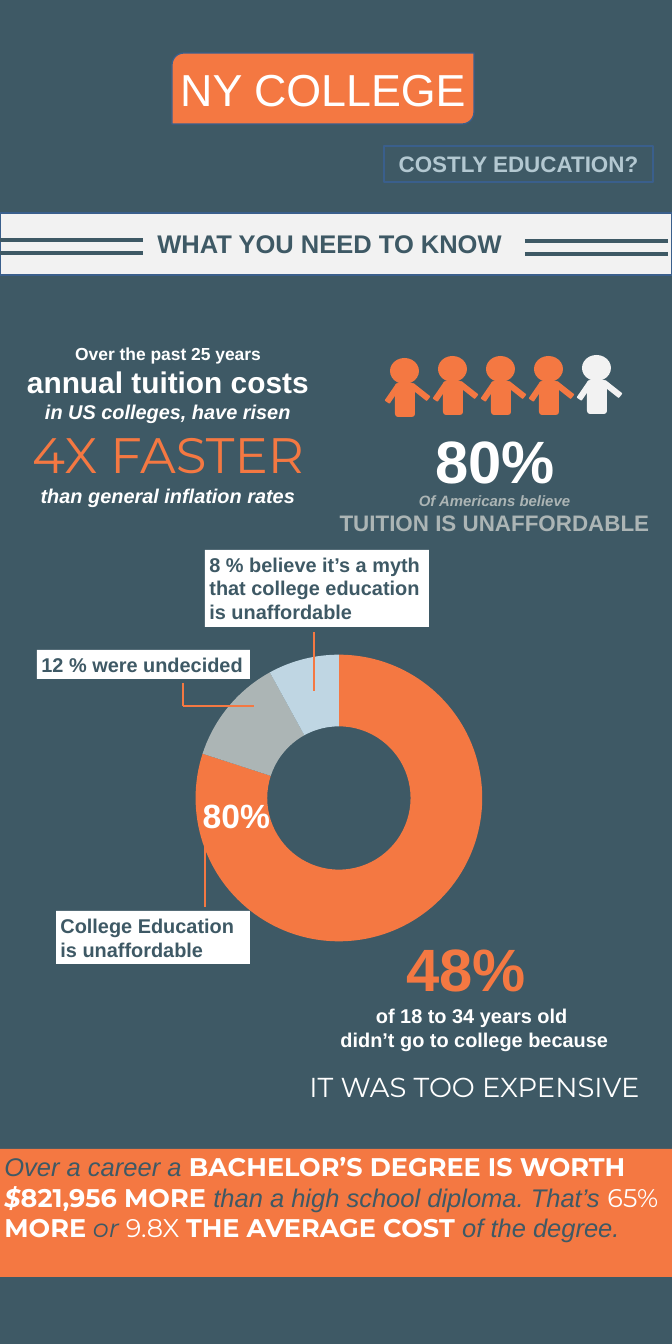
import pptx
import pptx.util
import pptx.chart.data
import pptx.dml.color
import pptx.enum.chart
import pptx.enum.shapes
import pptx.enum.text
import pptx.oxml
import pptx.oxml.ns

RGBColor = pptx.dml.color.RGBColor
SLATE = RGBColor(0x3E, 0x59, 0x65)
ORANGE = RGBColor(0xF4, 0x78, 0x42)
WHITE = RGBColor(0xFF, 0xFF, 0xFF)
PALE = RGBColor(0xF2, 0xF2, 0xF2)
GRAY = RGBColor(0xAC, 0xB5, 0xB5)
SKY = RGBColor(0xBF, 0xD6, 0xE3)
MIST = RGBColor(0xB3, 0xC8, 0xD1)
BORDER = RGBColor(0x3A, 0x5F, 0x8C)

PX_PER_INCH = 44.8
PRESET = pptx.enum.shapes.MSO_SHAPE
ALIGN = pptx.enum.text.PP_ALIGN
ANCHOR = pptx.enum.text.MSO_ANCHOR
SANS, DISPLAY = "Arial", "Montserrat"

BANNERS = [
    (PRESET.ROUND_2_DIAG_RECTANGLE, (172, 53, 302, 71), ORANGE, ("NY COLLEGE", 72, SANS, WHITE, "")),
    (PRESET.RECTANGLE, (384, 146, 269, 36), SLATE, ("COSTLY EDUCATION?", 36, SANS, MIST, "b")),
    (PRESET.RECTANGLE, (0, 213, 672, 62), PALE, None),
]

TEXTS = [
    ((153, 226, 400, 35), ALIGN.LEFT, [[("WHAT YOU NEED TO KNOW", 41, SANS, SLATE, "b")]]),
    ((0, 341, 336, 170), ALIGN.CENTER, [
        [("Over the past 25 years", 28, SANS, WHITE, "b")],
        [("annual tuition costs", 48, SANS, WHITE, "b")],
        [("in US colleges, have risen", 32, SANS, WHITE, "bi")],
        [("4X FASTER", 80, DISPLAY, ORANGE, "")],
        [("than general inflation rates", 32, SANS, WHITE, "bi")],
    ]),
    ((317, 489, 355, 50), ALIGN.CENTER, [
        [("Of Americans believe", 24, SANS, GRAY, "bi")],
        [("TUITION IS UNAFFORDABLE", 36, SANS, GRAY, "b")],
    ]),
    ((431, 422, 159, 77), ALIGN.LEFT, [[("80%", 96, SANS, WHITE, "b")]]),
    ((284, 930, 381, 177), ALIGN.CENTER, [
        [("48% ", 96, SANS, ORANGE, "b")],
        [("of 18 to 34 years old ", 32, SANS, WHITE, "b")],
        [("didn’t go to college because", 32, SANS, WHITE, "b")],
        [("IT WAS TOO EXPENSIVE", 44, DISPLAY, WHITE, "")],
    ]),
]

CALLOUTS = [
    ((37, 650, 213, 29), "12 % were undecided"),
    ((205, 550, 224, 77), "8 % believe it’s a myth that college education is unaffordable"),
    ((56, 911, 194, 53), "College Education is unaffordable"),
]

FOOTER_BOX = (0, 1149, 672, 128)
FOOTER = [
    ("Over a career a ", 41, SANS, SLATE, "i"),
    ("BACHELOR’S DEGREE IS WORTH ", 41, DISPLAY, WHITE, "b"),
    ("$", 41, DISPLAY, WHITE, "bi"),
    ("821,956 MORE ", 41, DISPLAY, WHITE, "b"),
    ("than a high school diploma. That’s ", 41, SANS, SLATE, "i"),
    ("65% ", 41, DISPLAY, WHITE, ""),
    ("MORE", 41, DISPLAY, WHITE, "b"),
    (" or ", 41, DISPLAY, SLATE, "i"),
    ("9.8X ", 41, DISPLAY, WHITE, ""),
    ("THE AVERAGE COST ", 41, DISPLAY, WHITE, "b"),
    ("of the degree.", 41, SANS, SLATE, "i"),
]

RULES = [(0, 240, 143, 240), (0, 253, 143, 253), (525, 241, 668, 241), (525, 254, 668, 254)]
LEADERS = [(183, 683, 183, 706), (183, 706, 254, 706), (314, 632, 314, 691), (205, 840, 205, 907)]

OPINION_BOX = (97, 628, 448, 358)
OPINIONS = [("1", 0.8, ORANGE), ("2", 0.12, GRAY), ("3", 0.08, SKY)]

PEOPLE_LEFT, PEOPLE_PITCH = 390, 48
PEOPLE = [(358, ORANGE), (356, ORANGE), (356, ORANGE), (356, ORANGE), (355, PALE)]
BODY_PARTS = [
    (PRESET.ROUNDED_RECTANGLE, (0, 25, 6, 21), 34.5),
    (PRESET.ROUNDED_RECTANGLE, (27, 23, 6, 22), 308.2),
    (PRESET.ROUNDED_RECTANGLE, (5, 25, 20, 34), 0),
    (PRESET.OVAL, (0, 0, 29, 26), 0),
]


def emu(*pixels):
    return [pptx.util.Inches(p / PX_PER_INCH) for p in pixels]


def style_font(font, size, face, color, style):
    font.size, font.name = pptx.util.Pt(size), face
    font.color.rgb = color
    font.bold, font.italic = "b" in style, "i" in style


def write(shape, lines, align, anchor=ANCHOR.TOP, wrap=True):
    frame = shape.text_frame
    frame.word_wrap, frame.vertical_anchor = wrap, anchor
    for index, line in enumerate(lines):
        paragraph = frame.add_paragraph() if index else frame.paragraphs[0]
        paragraph.alignment = align
        for words, *look in line:
            run = paragraph.add_run()
            run.text = words
            style_font(run.font, *look)
    return frame


def draw(parent, preset, box, fill, border=None):
    shape = parent.add_shape(preset, *emu(*box))
    shape.shadow.inherit = False
    shape.fill.solid()
    shape.fill.fore_color.rgb = fill
    if border is None:
        shape.line.fill.background()
    else:
        shape.line.color.rgb = border
        shape.line.width = pptx.util.Pt(2)
    return shape


def draw_lines(ends, color, width):
    for end in ends:
        line = shapes.add_connector(pptx.enum.shapes.MSO_CONNECTOR.STRAIGHT, *emu(*end))
        line.line.color.rgb = color
        line.line.width = pptx.util.Pt(width)
        line._element.spPr.append(pptx.oxml.parse_xml(
            "<a:effectLst %s/>" % pptx.oxml.ns.nsdecls("a")))


def set_layout(part, index, **settings):
    for previous in part.findall(pptx.oxml.ns.qn("c:layout")):
        part.remove(previous)
    values = "".join(f'<c:{key} val="{value}"/>' for key, value in settings.items())
    part.insert(index, pptx.oxml.parse_xml(
        "<c:layout %s><c:manualLayout>%s</c:manualLayout></c:layout>"
        % (pptx.oxml.ns.nsdecls("c"), values)))


def draw_opinions():
    data = pptx.chart.data.CategoryChartData(number_format="0%")
    data.categories = [name for name, _, _ in OPINIONS]
    data.add_series("Series 1", [share for _, share, _ in OPINIONS])
    chart = shapes.add_chart(
        pptx.enum.chart.XL_CHART_TYPE.DOUGHNUT, *emu(*OPINION_BOX), data).chart
    chart.has_title = chart.has_legend = False
    chart.font.size, chart.font.name = pptx.util.Pt(18), "Calibri"
    ring = chart.plots[0].series[0]
    for index, (_, _, color) in enumerate(OPINIONS):
        slice_format = ring.points[index].format
        slice_format.fill.solid()
        slice_format.fill.fore_color.rgb = color
        slice_format.line.fill.background()
    ring.data_labels.show_value = False
    style_font(ring.points[0].data_label.font, 54, SANS, WHITE, "b")
    label = ring._element.find(".//" + pptx.oxml.ns.qn("c:dLbl"))
    set_layout(label, 1, x=-0.37, y=-0.19)
    plot_area = chart._chartSpace.find(".//" + pptx.oxml.ns.qn("c:plotArea"))
    set_layout(plot_area, 0, layoutTarget="inner", xMode="edge", yMode="edge",
               x=0.22, y=0, w=0.64, h=0.95)


deck = pptx.Presentation()
deck.slide_width, deck.slide_height = emu(672, 1344)
slide = deck.slides.add_slide(deck.slide_layouts[6])
slide.background.fill.solid()
slide.background.fill.fore_color.rgb = SLATE
shapes = slide.shapes

for preset, box, fill, words in BANNERS:
    banner = draw(shapes, preset, box, fill, BORDER)
    if words:
        write(banner, [[words]], ALIGN.CENTER, ANCHOR.MIDDLE, wrap=False)
draw_lines(RULES, SLATE, 5)
draw_opinions()
draw_lines(LEADERS, ORANGE, 4.5)

for box, align, lines in TEXTS:
    frame = write(shapes.add_textbox(*emu(*box)), lines, align)
frame.paragraphs[-1].space_before = pptx.util.Pt(29)

for box, words in CALLOUTS:
    callout = draw(shapes, PRESET.RECTANGLE, box, WHITE)
    write(callout, [[(words, 32, SANS, SLATE, "b")]], ALIGN.LEFT)
write(draw(shapes, PRESET.RECTANGLE, FOOTER_BOX, ORANGE), [FOOTER], ALIGN.LEFT)

for index, (top, color) in enumerate(PEOPLE):
    person = shapes.add_group_shape()
    left = PEOPLE_LEFT + index * PEOPLE_PITCH
    for preset, (x, y, width, height), angle in BODY_PARTS:
        limb = draw(person.shapes, preset, (left + x, top + y, width, height), color)
        limb.rotation = angle

deck.save("out.pptx")
